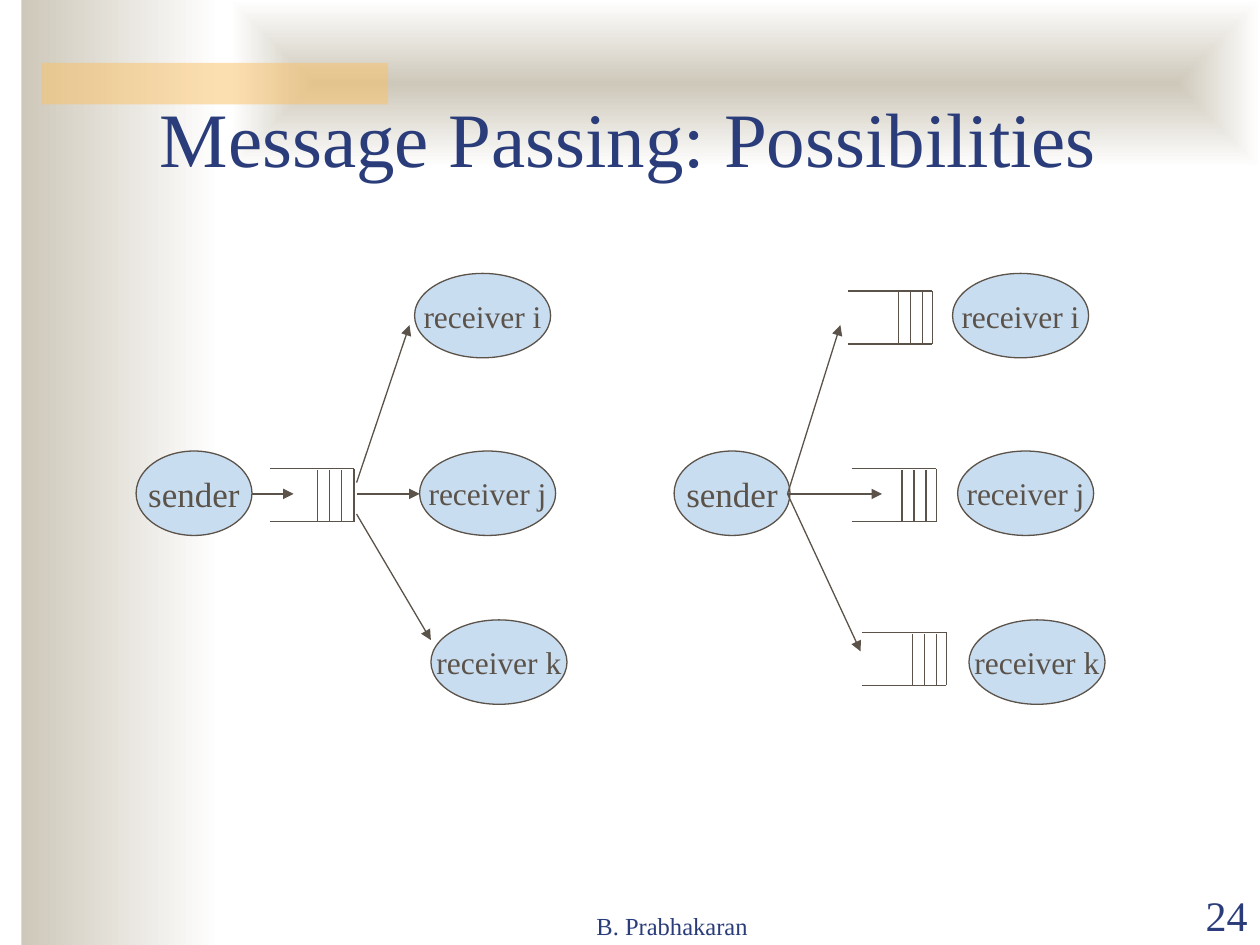
from dataclasses import dataclass
from lxml.etree import SubElement
from pptx import Presentation
from pptx.dml.color import RGBColor
from pptx.enum.shapes import MSO_CONNECTOR, MSO_SHAPE
from pptx.enum.text import MSO_ANCHOR, PP_ALIGN
from pptx.oxml.ns import qn
from pptx.shapes.autoshape import Shape
from pptx.slide import Slide
from pptx.util import Inches, Pt

COLORS = {
    "sand": "CEC8BA",
    "white": "FFFFFF",
    "amber": "FAC164",
    "navy": "2A3D7A",
    "brown": "5B5249",
    "sky": "C9DDF1",
}
FONT = "Times New Roman"
DIAGRAM_SHIFT = 4.27


@dataclass(frozen=True)
class Process:
    label: str
    left: float
    top: float
    width: float = 1.08
    size: int = 18


@dataclass(frozen=True)
class Queue:
    left: float
    top: float
    first_slot: float = 0.4


@dataclass(frozen=True)
class Link:
    x1: float
    y1: float
    x2: float
    y2: float


PROCESSES = (
    Process("sender", 1.08, 3.58, width=0.92, size=20),
    Process("receiver i", 3.29, 2.17),
    Process("receiver j", 3.33, 3.58),
    Process("receiver k", 3.42, 4.92),
)
SHARED_QUEUE = (Queue(2.14, 3.72, first_slot=0.38),)
RECEIVER_QUEUES = (Queue(6.73, 2.31), Queue(6.76, 3.72), Queue(6.84, 5.02))
SHARED_LINKS = (
    Link(2, 3.92, 2.33, 3.92),
    Link(2.83, 3.83, 3.25, 2.58),
    Link(2.83, 4.08, 3.42, 5.08),
    Link(2.83, 3.92, 3.33, 3.92),
)
RECEIVER_LINKS = (
    Link(6.25, 3.92, 6.67, 2.58),
    Link(6.25, 3.92, 7, 3.92),
    Link(6.25, 3.92, 6.83, 5.17),
)


def color(name: str) -> RGBColor:
    """Return the named colour."""
    return RGBColor.from_string(COLORS[name])


def write_text(shape: Shape, text: str, *, size: int, ink: str,
               align: PP_ALIGN = PP_ALIGN.CENTER,
               anchor: MSO_ANCHOR = MSO_ANCHOR.BOTTOM,
               wrap: bool = True) -> None:
    """Write one formatted paragraph in a shape."""
    frame = shape.text_frame
    frame.word_wrap = wrap
    frame.vertical_anchor = anchor
    paragraph = frame.paragraphs[0]
    paragraph.alignment = align
    run = paragraph.add_run()
    run.text = text
    run.font.name = FONT
    run.font.size = Pt(size)
    run.font.color.rgb = color(ink)


def add_caption(slide: Slide, text: str, left: float, top: float, width: float,
                height: float, size: int, align: PP_ALIGN) -> None:
    """Add a navy text box."""
    box = slide.shapes.add_textbox(Inches(left), Inches(top), Inches(width), Inches(height))
    write_text(box, text, size=size, ink="navy", align=align)


def add_panel(slide: Slide, left: float, top: float, width: float, height: float) -> Shape:
    """Add a borderless rectangle."""
    panel = slide.shapes.add_shape(
        MSO_SHAPE.RECTANGLE, Inches(left), Inches(top), Inches(width), Inches(height))
    panel.shadow.inherit = False
    panel.line.fill.background()
    return panel


def fade(panel: Shape, from_center: bool = False) -> None:
    """Fade a panel from sand to white."""
    panel.fill.gradient()
    panel.fill.gradient_angle = 0
    for stop, name in zip(panel.fill.gradient_stops, ("sand", "white")):
        stop.color.rgb = color(name)
    if from_center:
        gradient = panel._element.spPr.find(qn("a:gradFill"))
        gradient.remove(gradient.find(qn("a:lin")))
        route = SubElement(gradient, qn("a:path"), {"path": "rect"})
        SubElement(route, qn("a:fillToRect"), dict.fromkeys("ltrb", "50000"))


def add_backdrop(slide: Slide) -> None:
    """Add the faded panels and the translucent amber bar."""
    fade(add_panel(slide, 0.17, 0, 1.58, 7.5))
    fade(add_panel(slide, 1.83, 0, 8.17, 1.33), from_center=True)
    bar = add_panel(slide, 0.33, 0.5, 2.75, 0.33)
    bar.fill.solid()
    bar.fill.fore_color.rgb = color("amber")
    amber = bar._element.spPr.find(qn("a:solidFill"))[0]
    SubElement(amber, qn("a:alpha"), {"val": "50000"})


def add_process(slide: Slide, process: Process, shift: float) -> None:
    """Add a labelled process ellipse."""
    ellipse = slide.shapes.add_shape(
        MSO_SHAPE.OVAL, Inches(process.left + shift), Inches(process.top),
        Inches(process.width), Inches(0.67))
    ellipse.shadow.inherit = False
    ellipse.fill.solid()
    ellipse.fill.fore_color.rgb = color("sky")
    ellipse.line.color.rgb = color("brown")
    ellipse.line.width = Pt(0.75)
    write_text(ellipse, process.label, size=process.size, ink="brown",
               anchor=MSO_ANCHOR.MIDDLE, wrap=False)


def add_link(slide: Slide, link: Link, arrow: bool = True) -> None:
    """Add a straight line, with an arrowhead at its end if wanted."""
    connector = slide.shapes.add_connector(
        MSO_CONNECTOR.STRAIGHT, Inches(link.x1), Inches(link.y1),
        Inches(link.x2), Inches(link.y2))
    connector.line.color.rgb = color("brown")
    connector.line.width = Pt(0.75)
    if arrow:
        SubElement(connector.line._get_or_add_ln(), qn("a:tailEnd"), {"type": "triangle"})
    SubElement(connector._element.spPr, qn("a:effectLst"))


def add_queue(slide: Slide, queue: Queue) -> None:
    """Add a message queue, open on the left, with three slot lines."""
    right, bottom = queue.left + 0.67, queue.top + 0.42
    for y in (queue.top, bottom):
        add_link(slide, Link(queue.left, y, right, y), arrow=False)
    add_link(slide, Link(right, queue.top, right, bottom), arrow=False)
    for slot in range(3):
        x = queue.left + queue.first_slot + slot * 0.095
        add_link(slide, Link(x, queue.top + 0.01, x, bottom), arrow=False)


def add_diagram(slide: Slide, shift: float, queues: tuple[Queue, ...],
                links: tuple[Link, ...]) -> None:
    """Add one sender with its receivers, queues and arrows."""
    for process in PROCESSES:
        add_process(slide, process, shift)
    for queue in queues:
        add_queue(slide, queue)
    for link in links:
        add_link(slide, link)


def main() -> None:
    """Build and save the slide."""
    deck = Presentation()
    deck.slide_width, deck.slide_height = Inches(10), Inches(7.5)
    slide = deck.slides.add_slide(deck.slide_layouts[6])
    add_backdrop(slide)
    add_caption(slide, "B. Prabhakaran", 3.75, 7.01, 3.17, 0.5, 14, PP_ALIGN.CENTER)
    add_caption(slide, "24", 9, 7.01, 1, 0.5, 24, PP_ALIGN.RIGHT)
    add_caption(slide, "Message Passing: Possibilities", 1.17, 0.25, 8.5, 1.25, 44, PP_ALIGN.LEFT)
    add_diagram(slide, 0, SHARED_QUEUE, SHARED_LINKS)
    add_diagram(slide, DIAGRAM_SHIFT, RECEIVER_QUEUES, RECEIVER_LINKS)
    deck.save("out.pptx")


if __name__ == "__main__":
    main()
